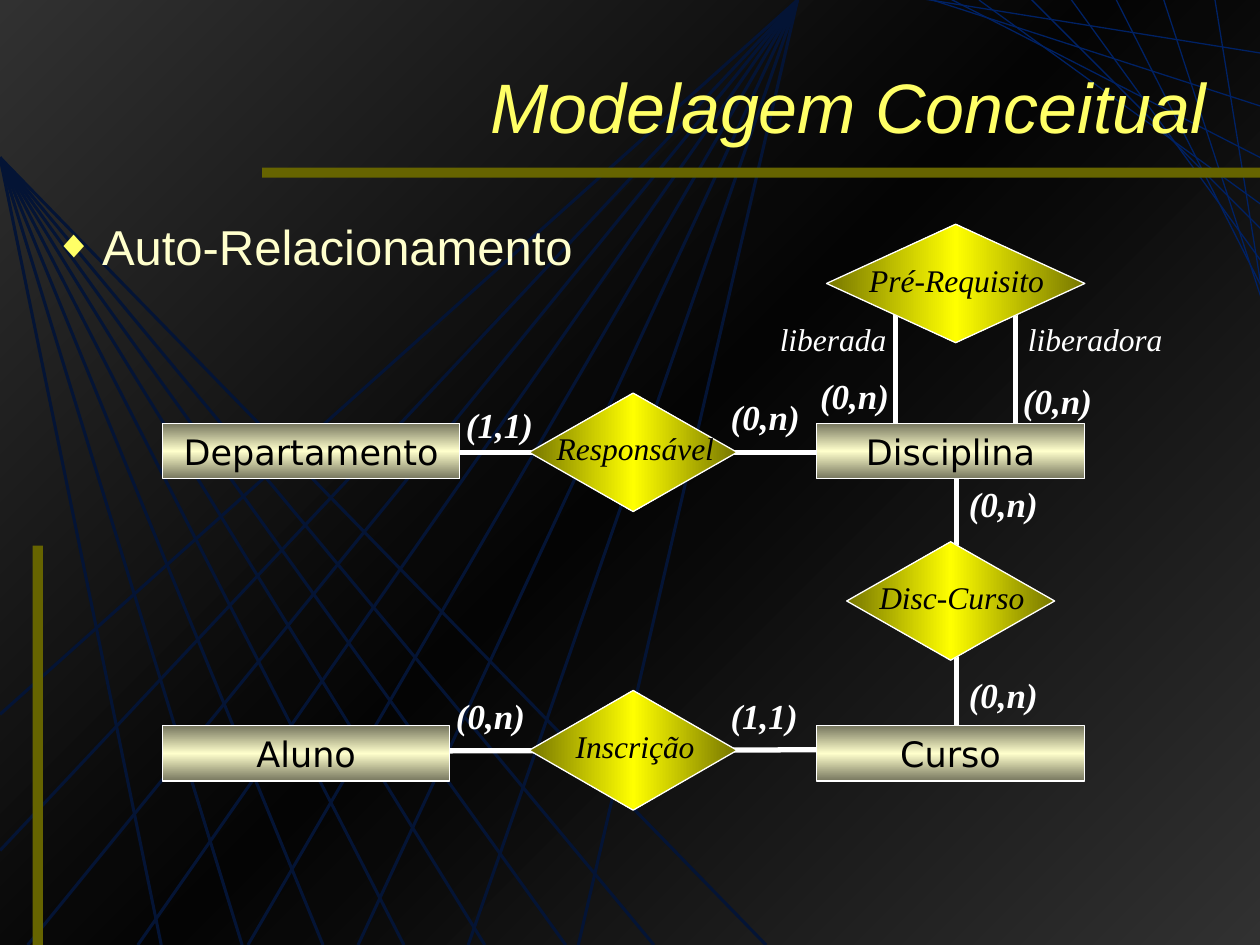
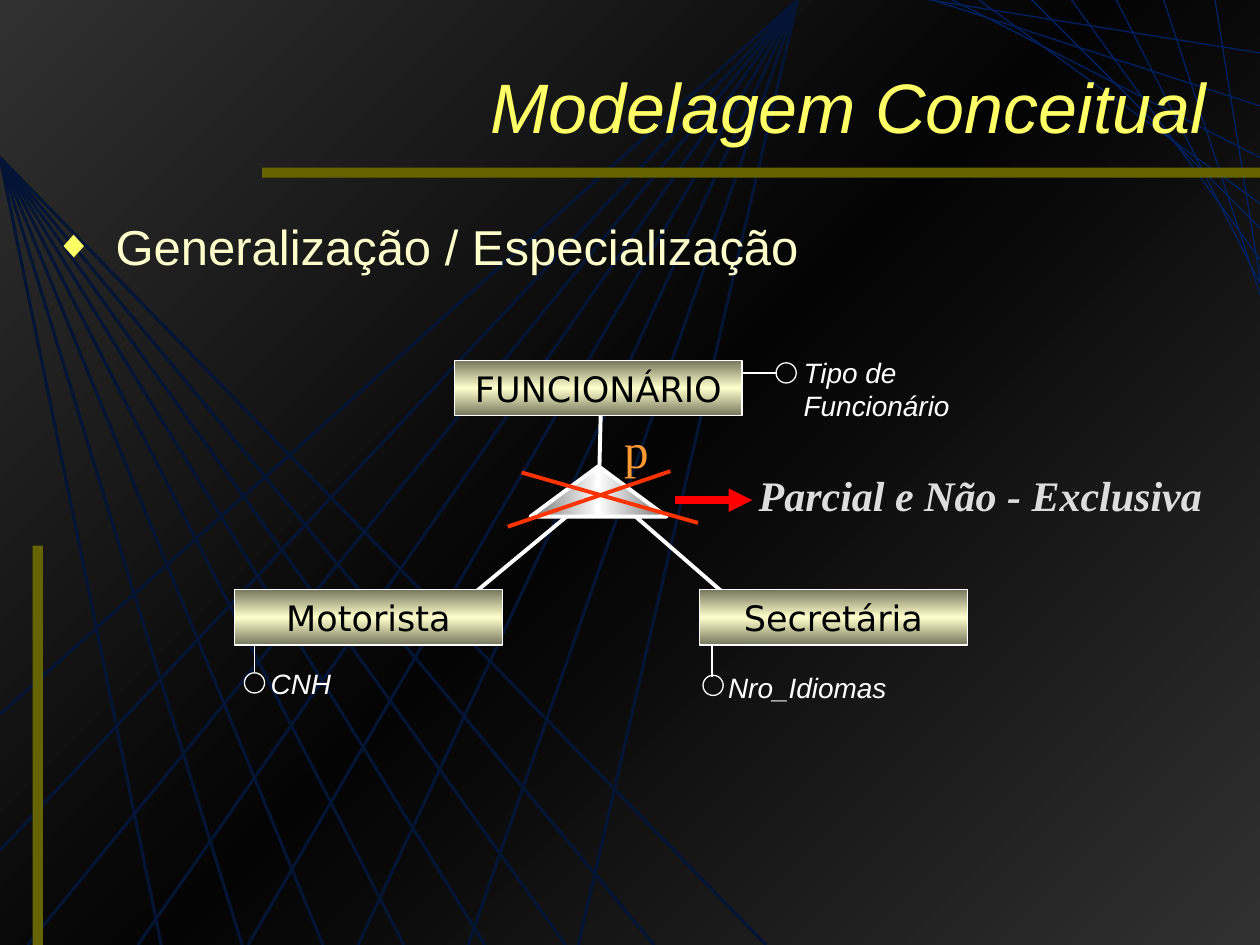
from copy import deepcopy

from lxml import etree
from pptx import Presentation
from pptx import util as u
from pptx.dml.color import RGBColor
from pptx.enum import shapes, text
from pptx.oxml.ns import qn

COLOURS = {
    "smoke": "5C5C5C", "black": "000000", "veil": "080808", "ray": "002164",
    "olive": "666400", "lemon": "FFFF66", "cream": "FFFFCC", "moss": "76765E",
    "gold": "767600", "yellow": "FFFF00", "steel": "767676", "white": "FFFFFF",
    "orange": "FF9933", "silver": "DDDDDD", "red": "FF0000", "scarlet": "FF3300",
}
RGB = {name: RGBColor.from_string(value) for name, value in COLOURS.items()}

deck = Presentation()
deck.slide_width, deck.slide_height = u.Inches(10), u.Inches(7.5)
COL, ROW = deck.slide_width / 100, deck.slide_height / 75
GRID = (COL, ROW, COL, ROW)


def connect(canvas, ends, colour, weight, arrow=False):
    places = [int(n * step) for n, step in zip(ends, GRID)]
    link = canvas.add_connector(shapes.MSO_CONNECTOR.STRAIGHT, *places)
    link.line.color.rgb = RGB[colour]
    link.line.width = u.Pt(weight)
    properties = link._element.spPr
    etree.SubElement(properties, qn("a:effectLst"))
    if arrow:
        etree.SubElement(properties.find(qn("a:ln")), qn("a:tailEnd"), type="triangle")


def blend(fill, edge, middle, angle):
    fill.gradient()
    fill.gradient_angle = (360 - angle) % 360
    first, centre = fill.gradient_stops
    first.color.rgb, first.position = RGB[edge], 0
    centre.color.rgb, centre.position = RGB[middle], 0.5
    last = deepcopy(first._gs)
    last.set("pos", "100000")
    centre._gs.addnext(last)


FIGURES = {
    "entity": (shapes.MSO_SHAPE.RECTANGLE, ("moss", "cream", 90), 0.75),
    "relation": (shapes.MSO_SHAPE.FLOWCHART_DECISION, ("gold", "yellow", 0), 0.75),
    "split": (shapes.MSO_SHAPE.FLOWCHART_EXTRACT, ("steel", "white", 0), 2.25),
    "attribute": (shapes.MSO_SHAPE.OVAL, None, 0.75),
}
LABELS = {
    "relation": ("Times New Roman", 18, "black", False, True, 4),
    "role": ("Times New Roman", 18, "white", False, True, 4),
    "cardinality": ("Times New Roman", 20, "white", True, True, 4.3),
    "attribute": ("Arial", 16, "white", False, True, 3.7),
    "coverage": ("Times New Roman", 28, "orange", False, False, 5.7),
    "verdict": ("Times New Roman", 24, "silver", True, True, 5),
}

SLIDES = [
    {
        "topic": "Auto-Relacionamento",
        "links": [
            ((66.4, 35.9, 34.1, 35.9), 3), ((66.4, 59.5, 34.1, 59.6), 3),
            ((75.9, 35.1, 75.9, 59.5), 3),
            ((80.6, 24.1, 80.6, 37.5), 3), ((71.1, 24.1, 71.1, 37.5), 3),
        ],
        "figures": [
            ("entity", (12.9, 33.6, 23.6, 4.4), "Departamento"),
            ("entity", (64.8, 57.6, 21.3, 4.4), "Curso"),
            ("entity", (12.9, 57.6, 22.8, 4.4), "Aluno"),
            ("relation", (67.2, 43, 16.5, 9.4), ""),
            ("relation", (42, 54.8, 16.5, 9.5), ""),
            ("relation", (42, 31.2, 16.5, 9.4), ""),
            ("relation", (65.6, 17.8, 20.5, 9.4), ""),
            ("entity", (64.8, 33.6, 21.3, 4.4), "Disciplina"),
        ],
        "marks": [],
        "labels": [
            ("relation", 44.7, 57.2, 11.5, "Inscrição"),
            ("relation", 68.8, 45.4, 13.5, "Disc-Curso"),
            ("relation", 43.2, 33.6, 14.5, "Responsável"),
            ("relation", 68, 20.2, 15.9, "Pré-Requisito"),
            ("cardinality", 35.2, 54.6, 7.5, "(0,n)"),
            ("cardinality", 57, 54.6, 7.3, "(1,1)"),
            ("cardinality", 75.9, 53, 7.5, "(0,n)"),
            ("cardinality", 75.9, 37.8, 7.5, "(0,n)"),
            ("cardinality", 57, 30.9, 7.5, "(0,n)"),
            ("cardinality", 36, 31.5, 7.3, "(1,1)"),
            ("role", 60.9, 24.9, 10.5, "liberada"),
            ("role", 80.6, 24.9, 12.7, "liberadora"),
            ("cardinality", 64.1, 29.2, 7.5, "(0,n)"),
            ("cardinality", 80.2, 29.6, 7.5, "(0,n)"),
        ],
    },
    {
        "topic": " Generalização / Especialização",
        "links": [
            ((56.5, 49.7, 56.5, 53.7), 0.75), ((20.2, 49.4, 20.2, 53.4), 0.75),
            ((58.8, 29.6, 61.6, 29.6), 0.75),
            ((50.1, 40.7, 58.5, 48), 2.25), ((47.5, 40.1, 47.7, 32), 2.25),
            ((48.1, 38.4, 36.4, 48.1), 2.25),
        ],
        "figures": [
            ("attribute", (55.8, 53.6, 1.6, 1.6), ""),
            ("attribute", (19.4, 53.4, 1.6, 1.6), ""),
            ("attribute", (61.6, 28.8, 1.6, 1.6), ""),
            ("entity", (18.6, 46.8, 21.3, 4.4), "Motorista"),
            ("entity", (36.1, 28.6, 22.8, 4.4), "FUNCIONÁRIO"),
            ("entity", (55.5, 46.8, 21.3, 4.4), "Secretária"),
            ("split", (42.1, 37, 10.8, 4), ""),
        ],
        "marks": [
            ((53.6, 39.7, 59.7, 39.7), "red", 4.5, True),
            ((41.4, 37.5, 55.4, 41.5), "scarlet", 2.25),
            ((53.2, 37.4, 40.3, 41.8), "scarlet", 2.25),
        ],
        "labels": [
            ("attribute", 20.5, 52.4, 8.9, "CNH"),
            ("attribute", 62.8, 27.7, 17.2, "Tipo de Funcionário"),
            ("coverage", 48.5, 32.8, 4, "p"),
            ("verdict", 59.2, 36.8, 37.2, "Parcial e Não - Exclusiva"),
            ("attribute", 56.8, 52.7, 15.1, "Nro_Idiomas"),
        ],
    },
]

layout = deck.slide_layouts[1]
pages = [deck.slides.add_slide(layout) for _ in SLIDES]

master = deck.slide_master
blend(master.background.fill, "smoke", "black", 45)
stage = pages[0].shapes
top_fan = [(0, 56.7), (0, 67.5)] + [(2.2 + 8.74 * i, 75) for i in range(6)]
left_fan = [(12.8 + 6.42 * i, 75) for i in range(6)] + [(51.9, 75), (60.8, 75)]
corner_fan = [
    (100.7, 23.9, 88.5, -0.2), (100.6, 8.6, 73.7, -0.1), (100.8, 18.9, 81.7, -0.2),
    (100.7, 26.5, 96.4, -0.2), (100.6, 16.6, 77.7, 0), (100.7, 25.5, 92.3, -0.2),
    (100.8, 21.7, 84.9, -0.2), (100.6, 12.8, 75.4, -0.1), (100.6, 4.3, 72.6, -0.2),
]
for origin, fan in (((63.3, 0), top_fan), ((0, 12.5), left_fan)):
    for tip in fan:
        connect(stage, origin + tip, "ray", 1.75)
panels = [
    ((0, 0, 100, 75), "veil"),
    ((20.8, 13.3, 79.2, 0.8), "olive"),
    ((2.6, 43.3, 0.8, 31.7), "olive"),
]
for box, colour in panels:
    panel = stage.add_shape(shapes.MSO_SHAPE.RECTANGLE, *[int(n * s) for n, s in zip(box, GRID)])
    panel.shadow.inherit = False
    panel.fill.solid()
    panel.fill.fore_color.rgb = RGB[colour]
    panel.line.fill.background()
    if colour == "veil":
        tint = panel._element.spPr.find(".//" + qn("a:srgbClr"))
        etree.SubElement(tint, qn("a:alpha"), val="50000")
        for ends in corner_fan:
            connect(stage, ends, "ray", 0.75)

backdrop = [part._element for part in stage if not part.is_placeholder]
for order, part in enumerate(backdrop):
    part.find(".//" + qn("p:cNvPr")).set("id", str(100 + order))
    master.shapes._spTree.insert(2 + order, part)

for page, content in zip(pages, SLIDES):
    canvas = page.shapes
    title, topic = page.placeholders
    for holder, box, words, size, colour in (
        (title, (15, 4.2, 81.7, 8.3), "Modelagem Conceitual", 40, "lemon"),
        (topic, (3.3, 16.7, 89.2, 52.5), content["topic"], 28, "cream"),
    ):
        holder.left, holder.top, holder.width, holder.height = [int(n * s) for n, s in zip(box, GRID)]
        holder.text_frame.text = words
        holder.text_frame.auto_size = text.MSO_AUTO_SIZE.NONE
        line = holder.text_frame.paragraphs[0]
        line.font.name, line.font.size = "Arial", u.Pt(size)
        line.font.color.rgb = RGB[colour]
    heading = title.text_frame.paragraphs[0]
    heading.alignment, heading.font.italic = text.PP_ALIGN.RIGHT, True
    title.text_frame.vertical_anchor = text.MSO_ANCHOR.MIDDLE
    item = topic.text_frame.paragraphs[0]
    item.space_before = u.Pt(5)
    bullet = item._p.get_or_add_pPr()
    bullet.set("marL", str(int(3.8 * COL)))
    bullet.set("indent", str(int(-3.8 * COL)))
    tint = etree.SubElement(bullet, qn("a:buClr"))
    etree.SubElement(tint, qn("a:srgbClr"), val=COLOURS["lemon"])
    etree.SubElement(bullet, qn("a:buSzPct"), val="80000")
    etree.SubElement(bullet, qn("a:buChar"), char="◆")

    for ends, weight in content["links"]:
        connect(canvas, ends, "white", weight)

    for kind, box, words in content["figures"]:
        preset, gradient, weight = FIGURES[kind]
        figure = canvas.add_shape(preset, *[int(n * s) for n, s in zip(box, GRID)])
        figure.shadow.inherit = False
        figure.line.color.rgb, figure.line.width = RGB["white"], u.Pt(weight)
        if gradient:
            blend(figure.fill, *gradient)
        else:
            figure.fill.background()
        if words:
            figure.text_frame.text = words
            figure.text_frame.vertical_anchor = text.MSO_ANCHOR.MIDDLE
            name = figure.text_frame.paragraphs[0]
            name.alignment = text.PP_ALIGN.CENTER
            name.font.name, name.font.size = "DejaVu Sans", u.Pt(20)
            name.font.color.rgb = RGB["black"]

    for ends, colour, weight, *arrow in content["marks"]:
        connect(canvas, ends, colour, weight, *arrow)

    for kind, left, top, width, words in content["labels"]:
        face, size, colour, bold, italic, height = LABELS[kind]
        box = (left, top, width, height)
        label = canvas.add_textbox(*[int(n * s) for n, s in zip(box, GRID)])
        label.text_frame.text = words
        label.text_frame.word_wrap = kind == "attribute"
        label.text_frame.auto_size = text.MSO_AUTO_SIZE.SHAPE_TO_FIT_TEXT
        line = label.text_frame.paragraphs[0]
        if kind in ("coverage", "verdict"):
            line.alignment = text.PP_ALIGN.CENTER
        line.font.name, line.font.size = face, u.Pt(size)
        line.font.bold, line.font.italic = bold, italic
        line.font.color.rgb = RGB[colour]

deck.save("out.pptx")
